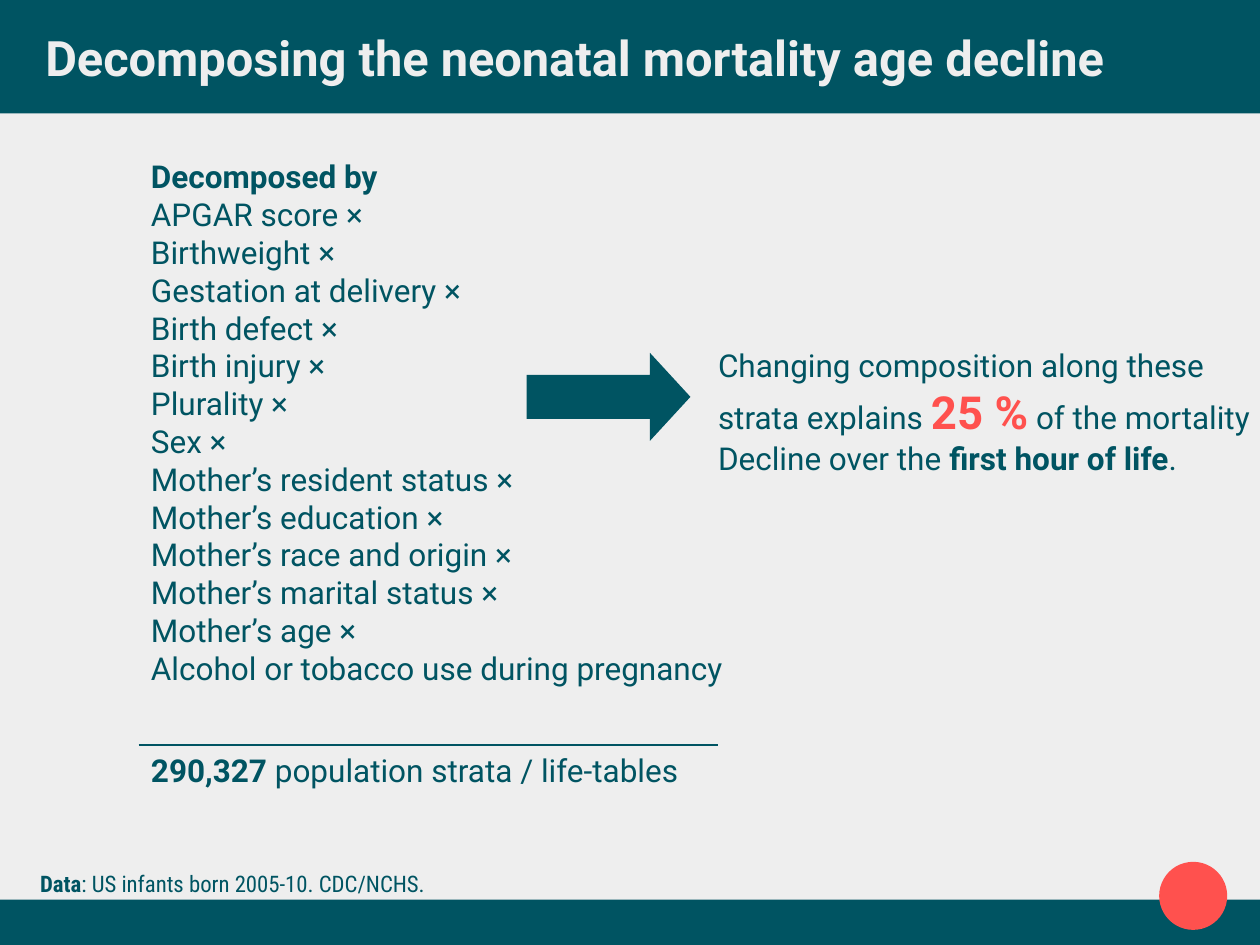
import pptx
import pptx.util
import pptx.dml.color
import pptx.enum.shapes
import pptx.enum.text
import pptx.oxml.ns
import lxml.etree

Inches = pptx.util.Inches
RGBColor = pptx.dml.color.RGBColor
MSO_SHAPE = pptx.enum.shapes.MSO_SHAPE

TEAL = RGBColor(0x00, 0x54, 0x62)
CORAL = RGBColor(0xFF, 0x51, 0x4E)
PALE = RGBColor(0xEE, 0xEE, 0xEE)

prs = pptx.Presentation()
prs.slide_width = Inches(10)
prs.slide_height = Inches(7.5)
s = prs.slides.add_slide(prs.slide_layouts[6])
s.background.fill.solid()
s.background.fill.fore_color.rgb = PALE


def add_block(kind, left, top, width, height, color):
    sp = s.shapes.add_shape(kind, Inches(left), Inches(top), Inches(width), Inches(height))
    sp.shadow.inherit = False
    sp.fill.solid()
    sp.fill.fore_color.rgb = color
    sp.line.fill.background()
    return sp


def add_text(left, top, width, height, paragraphs, size=18, font="Roboto", color=TEAL, wrap=True):
    """Each paragraph is a list of runs: (text, bold[, size, color])."""
    tb = s.shapes.add_textbox(Inches(left), Inches(top), Inches(width), Inches(height))
    tf = tb.text_frame
    tf.word_wrap = wrap
    for i, runs in enumerate(paragraphs):
        p = tf.paragraphs[0] if i == 0 else tf.add_paragraph()
        for text, bold, *special in runs:
            r = p.add_run()
            r.text = text
            r.font.name = font
            r.font.bold = bold
            run_size, run_color = special or (size, color)
            r.font.size = pptx.util.Pt(run_size)
            r.font.color.rgb = run_color
    return tf


# Footer and header bands, with the page dot
add_block(MSO_SHAPE.RECTANGLE, 0, 7.14, 10, 0.36, TEAL)
add_block(MSO_SHAPE.RECTANGLE, 0, 0, 10, 0.9, TEAL)
add_block(MSO_SHAPE.OVAL, 9.2, 6.84, 0.54, 0.54, CORAL)

# Title
tf = add_text(0.36, -0.02, 9.29, 0.95,
              [[("Decomposing the neonatal mortality age decline", True)]],
              size=27.9, color=PALE)
tf.margin_left = tf.margin_right = tf.margin_top = tf.margin_bottom = 0
tf.vertical_anchor = pptx.enum.text.MSO_ANCHOR.MIDDLE

# Data source
add_text(0.22, 6.85, 5.98, 0.34,
         [[("Data", True), (": US infants born 2005-10. CDC/NCHS.", False)]],
         size=13, font="Roboto Condensed")

# Finding
add_text(5.6, 2.7, 4.42, 1.24, [
    [("Changing composition along these", False)],
    [("strata explains ", False), ("25 %", True, 26, CORAL), (" of the mortality", False)],
    [("Decline over the ", False), ("first hour of life", True), (".", False)],
], wrap=False)

# Arrow from strata to finding
arrow = add_block(MSO_SHAPE.RIGHT_ARROW, 4.18, 2.8, 1.3, 0.7, TEAL)
arrow.adjustments[0] = 0.5
arrow.adjustments[1] = 0.46

# Strata: every factor but the last is followed by a times sign
factors = [
    "APGAR score", "Birthweight", "Gestation at delivery", "Birth defect",
    "Birth injury", "Plurality", "Sex", "Mother’s resident status",
    "Mother’s education", "Mother’s race and origin",
    "Mother’s marital status", "Mother’s age",
]
lines = [[("Decomposed by", True)]]
lines += [[(factor + " ×", False)] for factor in factors]
lines.append([("Alcohol or tobacco use during pregnancy", False)])
add_text(1.1, 1.2, 4.74, 4.72, lines, wrap=False)

# Sum line and total
rule = s.shapes.add_connector(pptx.enum.shapes.MSO_CONNECTOR.STRAIGHT,
                              Inches(1.1), Inches(5.91), Inches(5.7), Inches(5.91))
rule.line.color.rgb = TEAL
rule.line.width = pptx.util.Pt(1)
lxml.etree.SubElement(rule._element.spPr, pptx.oxml.ns.qn("a:effectLst"))
add_text(1.1, 5.91, 4.4, 0.43,
         [[("290,327", True), (" population strata / life-tables", False)]])

prs.save("out.pptx")
